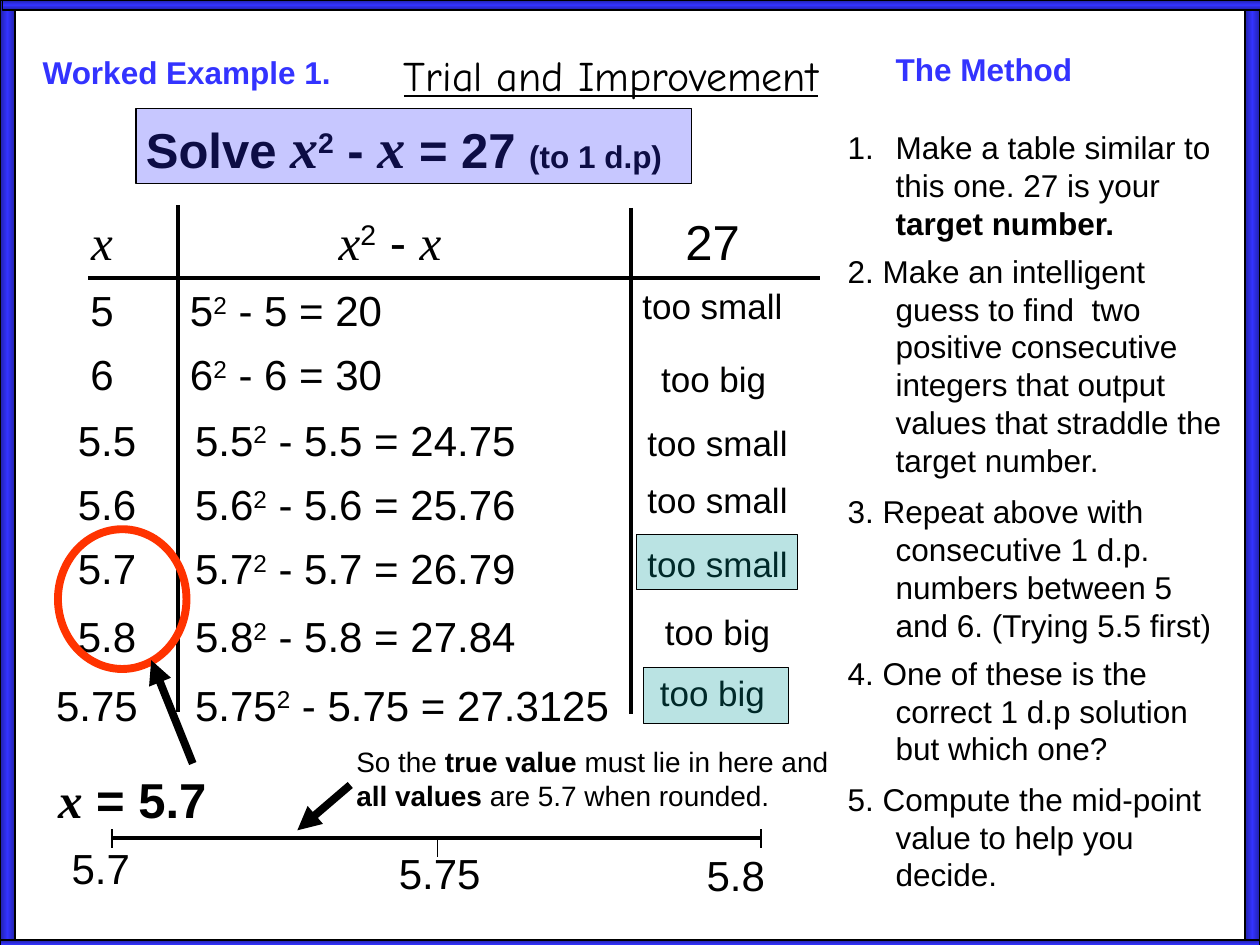
import copy
import dataclasses

import pptx
import pptx.dml.color
import pptx.enum.shapes
import pptx.enum.text
import pptx.oxml
import pptx.oxml.ns
import pptx.util

Inches = pptx.util.Inches
Pt = pptx.util.Pt
Align = pptx.enum.text.PP_ALIGN
Shape = pptx.enum.shapes.MSO_SHAPE
qn = pptx.oxml.ns.qn


@dataclasses.dataclass(frozen=True)
class Theme:
    ink: str = "000000"
    blue: str = "3333FF"
    dark_blue: str = "2121A8"
    teal: str = "009999"
    red: str = "FF3300"
    sans: str = "Arial"
    serif: str = "Times New Roman"
    hand: str = "Comic Neue"
    large: int = 28
    variable: int = 32
    medium: int = 24
    verdict: int = 20
    body: int = 18
    note: int = 16
    thin: float = 0.75
    rule: float = 2.25
    bold_line: float = 4.5


THEME = Theme()
SQUARED = ("2", {"raised": True})


def rgb(value):
    return pptx.dml.color.RGBColor.from_string(value)


def symbol(size=None):
    """The variable x, in italic serif."""
    return ("x", {"font": THEME.serif, "italic": True, "size": size})


def fill_text(frame, parts, size, align=Align.LEFT, color=THEME.ink, bold=False):
    """Put parts, each a string or a (string, style) pair, in one paragraph."""
    frame.word_wrap = True
    frame.vertical_anchor = pptx.enum.text.MSO_ANCHOR.TOP
    para = frame.paragraphs[0]
    para.alignment = align
    for part in parts:
        words, style = (part, {}) if isinstance(part, str) else part
        span = para.add_run()
        span.text = words
        span.font.name = style.get("font", THEME.sans)
        span.font.size = Pt(style.get("size") or size)
        span.font.bold = style.get("bold", bold)
        span.font.italic = style.get("italic", False)
        span.font.color.rgb = rgb(color)
        if style.get("raised"):
            span.font._element.set("baseline", "30000")
    return para


def add_text(page, left, top, width, height, parts, size, **options):
    box = page.shapes.add_textbox(*map(Inches, (left, top, width, height)))
    return fill_text(box.text_frame, parts, size, **options)


def add_line(page, start, end, weight, arrow=False):
    line = page.shapes.add_connector(
        pptx.enum.shapes.MSO_CONNECTOR.STRAIGHT, *map(Inches, start + end))
    line.line.color.rgb = rgb(THEME.ink)
    line.line.width = Pt(weight)
    if arrow:
        line.line._get_or_add_ln().append(pptx.oxml.parse_xml(
            f'<a:tailEnd {pptx.oxml.ns.nsdecls("a")} type="triangle"/>'))
    line._element.spPr.append(pptx.oxml.parse_xml(
        f'<a:effectLst {pptx.oxml.ns.nsdecls("a")}/>'))


def add_outline(page, kind, left, top, width, height, color=THEME.ink, weight=THEME.thin):
    shape = page.shapes.add_shape(kind, *map(Inches, (left, top, width, height)))
    shape.shadow.inherit = False
    shape.fill.background()
    shape.line.color.rgb = rgb(color)
    shape.line.width = Pt(weight)
    return shape


def add_highlight(page, left, top, width, height, color):
    """A see-through band that lies over text."""
    shape = add_outline(page, Shape.RECTANGLE, left, top, width, height)
    shape.fill.solid()
    shape.fill.fore_color.rgb = rgb(color)
    tint = shape._element.spPr.find(qn("a:solidFill"))[0]
    tint.append(pptx.oxml.parse_xml(
        f'<a:alpha {pptx.oxml.ns.nsdecls("a")} val="27000"/>'))


def add_frame(page):
    """Four gradient bars round the page."""
    bars = [(0, 0, 0.12, 7.5, 0), (9.88, 0, 0.12, 7.5, 0),
            (0.02, 0, 10, 0.08, 90), (0, 7.46, 10, 0.08, 90)]
    for *area, angle in bars:
        bar = add_outline(page, Shape.RECTANGLE, *area)
        bar.fill.gradient()
        bar.fill.gradient_angle = angle
        stops = bar._element.spPr.find(".//" + qn("a:gsLst"))
        stops.insert(1, copy.deepcopy(stops[0]))
        colors = (THEME.dark_blue, THEME.blue, THEME.dark_blue)
        for index, (stop, color) in enumerate(zip(bar.fill.gradient_stops, colors)):
            stop.color.rgb = rgb(color)
            stop.position = index / 2


def add_heading(page, left, top):
    title = page.shapes.title
    title.left, title.top = Inches(left + 1.25), Inches(top)
    title.width, title.height = Inches(6.72), Inches(0.5)
    title.text_frame.auto_size = pptx.enum.text.MSO_AUTO_SIZE.NONE
    para = fill_text(title.text_frame, [("Trial and Improvement", {"font": THEME.hand})],
                     THEME.medium, align=Align.CENTER)
    para.runs[0].font.underline = True
    for words, x, y in (("Worked Example 1.", 0, 0.03), ("The Method", 6.77, 0.01)):
        add_text(page, left + x, top + y, 2.69, 0.4, [words], THEME.body,
                 color=THEME.blue, bold=True)


def add_problem(page, left, top):
    parts = ["Solve ", symbol(THEME.variable), SQUARED, " - ", symbol(THEME.variable),
             " = 27 ", ("(to 1 d.p)", {"size": THEME.body})]
    add_text(page, left, top, 4.92, 0.64, parts, THEME.large, bold=True)
    add_highlight(page, left + 0.02, top + 0.02, 4.41, 0.6, THEME.blue)


def add_trials(page, left, top):
    """Trial table: x, its value, and how it compares with the target."""
    centred = {"align": Align.CENTER}
    add_text(page, left, top, 1.02, 0.57, [symbol()], THEME.large, **centred)
    add_text(page, left + 2.29, top, 1.6, 0.57, [symbol(), SQUARED, " - ", symbol()],
             THEME.large)
    add_text(page, left + 4.5, top, 1.71, 0.57, ["27"], THEME.large, **centred)

    # x, result, row top, verdict, verdict left and top, shift of x and value
    rows = [("5", "20", 0.58, "too small", 4.5, 0.58, 0),
            ("6", "30", 1.09, "too big", 4.51, 1.16, 0),
            ("5.5", "24.75", 1.61, "too small", 4.54, 1.67, 0.04),
            ("5.6", "25.76", 2.12, "too small", 4.54, 2.12, 0.04),
            ("5.7", "26.79", 2.63, "too small", 4.54, 2.63, 0.04),
            ("5.8", "27.84", 3.17, "too big", 4.54, 3.17, 0.04),
            ("5.75", "27.3125", 3.71, "too big", 4.5, 3.65, 0.04)]
    for value, result, row_top, verdict, verdict_left, verdict_top, shift in rows:
        value_shift = -0.04 if value == "5.75" else shift
        add_text(page, left + value_shift, top + row_top, 1.02, 0.5, [value],
                 THEME.medium, **centred)
        add_text(page, left + 1.11 + shift, top + row_top, 3.84, 0.5,
                 [value, SQUARED, f" - {value} = {result}"], THEME.medium)
        add_text(page, left + verdict_left, top + verdict_top, 1.71, 0.44, [verdict],
                 THEME.verdict, **centred)

    # Rules
    for x, y in ((1.11, 0), (4.71, 0.02)):
        add_line(page, (left + x, top + y), (left + x, top + y + 4.02), THEME.rule)
    add_line(page, (left + 0.4, top + 0.58), (left + 6.21, top + 0.58), THEME.rule)

    # Marks on the deciding rows
    add_highlight(page, left + 4.75, top + 2.61, 1.28, 0.44, THEME.teal)
    add_highlight(page, left + 4.81, top + 3.67, 1.15, 0.44, THEME.teal)
    add_outline(page, Shape.OVAL, left + 0.16, top + 2.57, 1.02, 1.11,
                THEME.red, THEME.bold_line)
    add_line(page, (left + 1.23, top + 4.43), (left + 0.9, top + 3.61),
             THEME.bold_line, arrow=True)


def add_method(page, left, top):
    steps = [(0, ["Make a table similar to this one. 27 is your ",
                  ("target number.", {"bold": True})]),
             (0.98, ["2. Make an intelligent guess to find  two positive consecutive "
                     "integers that output values that straddle the target number."]),
             (2.89, ["3. Repeat above with consecutive 1 d.p. numbers between 5 and 6. "
                     "(Trying 5.5 first)"]),
             (4.17, ["4. One of these is the correct 1 d.p solution but which one?"]),
             (5.17, ["5. Compute the mid-point value to help you decide."])]
    for index, (offset, parts) in enumerate(steps):
        para = add_text(page, left, top + offset, 3.17, 1, parts, THEME.body)
        props = para._p.get_or_add_pPr()
        props.set("marL", str(Inches(0.38)))
        props.set("indent", str(Inches(-0.38)))
        if index == 0:
            props.append(pptx.oxml.parse_xml(
                f'<a:buAutoNum {pptx.oxml.ns.nsdecls("a")} type="arabicPeriod"/>'))


def add_answer(page, left, top):
    """Answer, note and number line."""
    add_text(page, left, top + 0.2, 1.46, 0.57, [symbol(), " = 5.7"], THEME.large,
             align=Align.CENTER, bold=True)
    strong = {"bold": True}
    add_text(page, left + 2.41, top, 3.98, 0.64,
             ["So the ", ("true value", strong), " must lie in here and ",
              ("all values", strong), " are 5.7 when rounded."], THEME.note)
    add_line(page, (left + 2.46, top + 0.37), (left + 2.04, top + 0.73),
             THEME.bold_line, arrow=True)

    axis = top + 0.79
    add_line(page, (left + 0.57, axis), (left + 5.73, axis), THEME.rule)
    # label, tick position, tick top, label centre, label top
    ticks = [("5.7", 0.57, -0.07, 0.48, -0.01), ("5.75", 3.15, 0, 3.17, 0.03),
             ("5.8", 5.72, -0.07, 5.52, 0.04)]
    for label, x, tick_top, centre, label_top in ticks:
        add_line(page, (left + x, axis + tick_top), (left + x, axis + tick_top + 0.15),
                 THEME.thin)
        add_text(page, left + centre - 0.51, axis + label_top, 1.02, 0.5, [label],
                 THEME.medium, align=Align.CENTER)


def main():
    deck = pptx.Presentation()
    deck.slide_width, deck.slide_height = Inches(10), Inches(7.5)
    page = deck.slides.add_slide(deck.slide_layouts[5])
    add_frame(page)
    add_heading(page, 0.24, 0.34)
    add_problem(page, 1.06, 0.84)
    add_trials(page, 0.3, 1.63)
    add_method(page, 6.63, 0.97)
    add_answer(page, 0.32, 5.86)
    deck.save("out.pptx")


if __name__ == "__main__":
    main()
